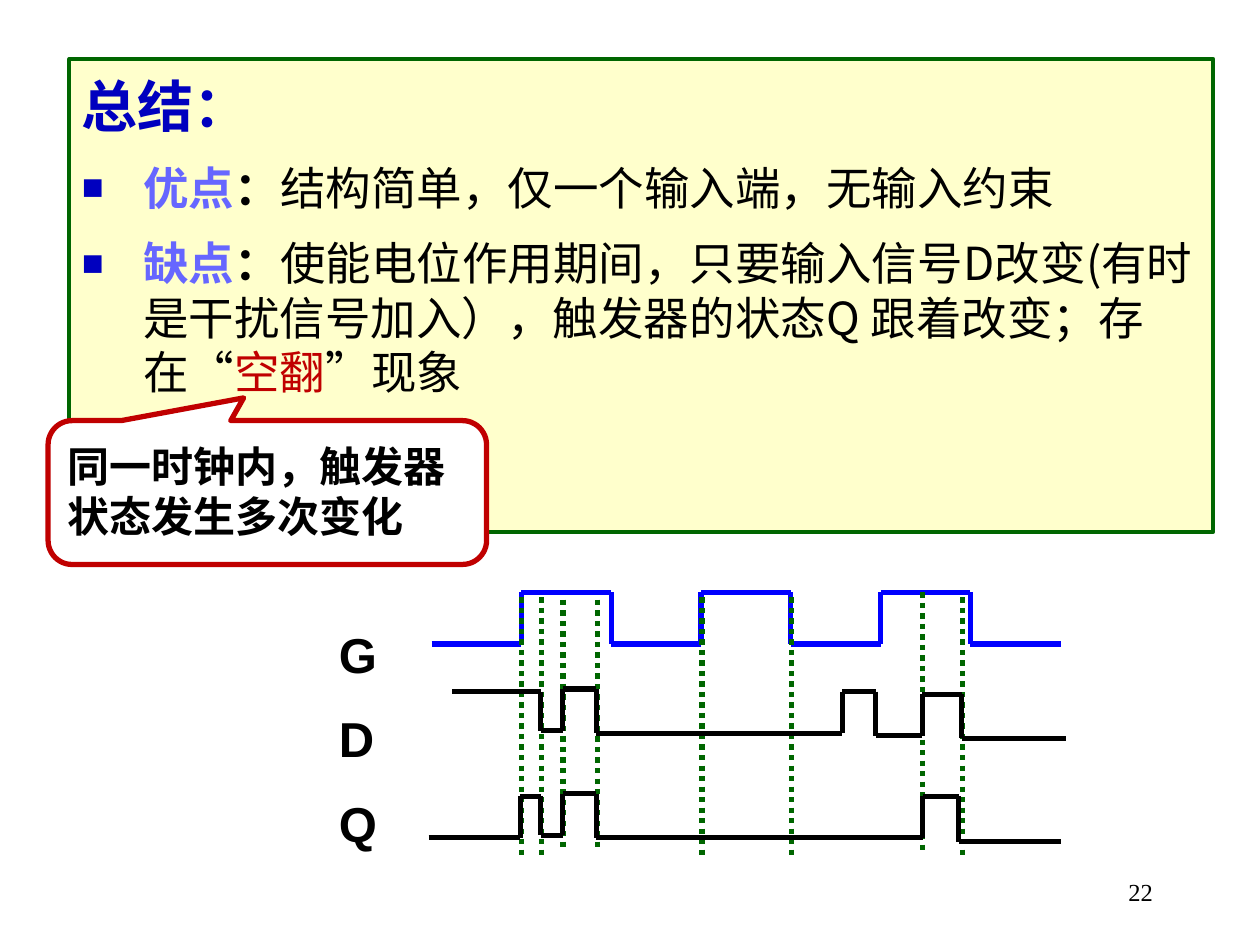
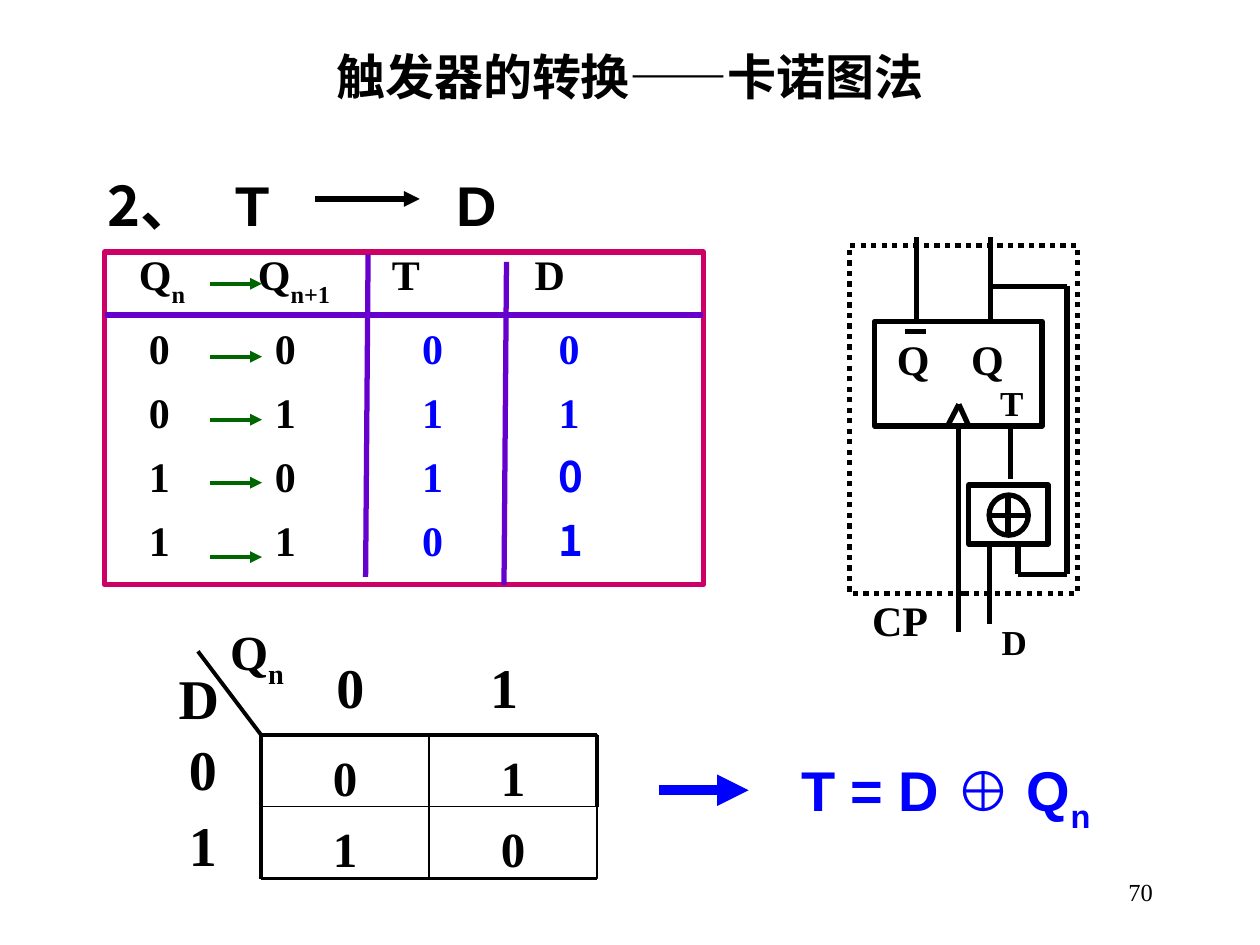
from dataclasses import dataclass, replace
from itertools import pairwise

from lxml.etree import SubElement
from pptx import Presentation
from pptx.dml.color import RGBColor
from pptx.enum.dml import MSO_LINE_DASH_STYLE as DASH
from pptx.enum.shapes import MSO_CONNECTOR, MSO_SHAPE
from pptx.enum.text import MSO_ANCHOR, PP_ALIGN
from pptx.oxml.ns import qn
from pptx.util import Cm, Pt

BLACK = RGBColor(0x00, 0x00, 0x00)
WHITE = RGBColor(0xFF, 0xFF, 0xFF)
CREAM = RGBColor(0xFF, 0xFF, 0xCC)
GREEN = RGBColor(0x00, 0x66, 0x00)
NAVY = RGBColor(0x00, 0x00, 0xBF)
BLUE = RGBColor(0x00, 0x00, 0xFF)
PERIWINKLE = RGBColor(0x66, 0x66, 0xFF)
RED = RGBColor(0xC0, 0x00, 0x00)
MAGENTA = RGBColor(0xCC, 0x00, 0x66)
PURPLE = RGBColor(0x66, 0x00, 0xCC)

ARIAL = "Arial"
TIMES = "Times New Roman"
NOTO = "Noto Sans CJK SC"


@dataclass(frozen=True)
class Style:
    size: int
    font: str = TIMES
    color: RGBColor = BLACK
    bold: bool = True
    sub: bool = False


def add_runs(p, runs):
    for text, style in runs:
        r = p.add_run()
        r.text = text
        r.font.size = Pt(style.size)
        r.font.bold = style.bold
        r.font.color.rgb = style.color
        r.font.name = style.font
        rPr = r._r.get_or_add_rPr()
        SubElement(rPr, qn("a:ea")).set("typeface", NOTO)
        if style.sub:
            rPr.set("baseline", "-30000")


def add_tabs(p, stops):
    tabs = SubElement(p._p.get_or_add_pPr(), qn("a:tabLst"))
    for stop in stops:
        tab = SubElement(tabs, qn("a:tab"))
        tab.set("pos", str(Cm(stop)))
        tab.set("algn", "l")


def add_bullet(p, color):
    pPr = p._p.get_or_add_pPr()
    pPr.set("marL", str(Cm(1.24)))
    pPr.set("indent", str(-Cm(1.24)))
    SubElement(SubElement(pPr, qn("a:buClr")), qn("a:srgbClr")).set("val", str(color))
    SubElement(pPr, qn("a:buSzPct")).set("val", "80000")
    SubElement(pPr, qn("a:buFont")).set("typeface", ARIAL)
    SubElement(pPr, qn("a:buChar")).set("char", "■")


def write(sp, paragraphs, align=PP_ALIGN.LEFT, top=0.25, anchor=MSO_ANCHOR.TOP,
          leading=None, gap=0, tabs=()):
    tf = sp.text_frame
    tf.word_wrap = True
    tf.vertical_anchor = anchor
    tf.margin_left = tf.margin_right = Cm(0.25)
    tf.margin_top, tf.margin_bottom = Cm(top), Cm(0.13)
    for i, runs in enumerate(paragraphs):
        p = tf.paragraphs[0] if i == 0 else tf.add_paragraph()
        p.alignment = align
        if leading:
            p.line_spacing = Pt(leading)
        if i:
            p.space_before = Pt(gap)
        if tabs:
            add_tabs(p, tabs[min(i, len(tabs) - 1)])
        add_runs(p, runs)
    return tf


def add_label(s, x, y, w, h, runs, **layout):
    sp = s.shapes.add_textbox(Cm(x), Cm(y), Cm(w), Cm(h))
    write(sp, [runs], **layout)


def add_box(s, x, y, w, h, color, width, fill=None, kind=MSO_SHAPE.RECTANGLE, dash=None):
    sp = s.shapes.add_shape(kind, Cm(x), Cm(y), Cm(w), Cm(h))
    sp.shadow.inherit = False
    if fill is None:
        sp.fill.background()
    else:
        sp.fill.solid()
        sp.fill.fore_color.rgb = fill
    sp.line.color.rgb = color
    sp.line.width = Pt(width)
    if dash:
        sp.line.dash_style = dash
    return sp


def add_line(s, start, end, color=BLACK, width=3, dash=None, arrow=False):
    ends = [Cm(v) for v in (*start, *end)]
    line = s.shapes.add_connector(MSO_CONNECTOR.STRAIGHT, *ends)
    line.line.color.rgb = color
    line.line.width = Pt(width)
    if dash:
        line.line.dash_style = dash
    if arrow:
        SubElement(line.line._get_or_add_ln(), qn("a:tailEnd")).set("type", "triangle")
    SubElement(line._element.spPr, qn("a:effectLst"))


def add_path(s, points, **look):
    for start, end in pairwise(points):
        add_line(s, start, end, **look)


def add_wave(s, levels, end, color=BLACK):
    points = []
    for (x, y), (next_x, _) in pairwise([*levels, (end, None)]):
        points += [(x, y), (next_x, y)]
    add_path(s, points, color=color)


def add_page_number(s, number):
    add_label(s, 18.21, 17.35, 5.28, 1.27, [(number, Style(14, bold=False))],
              align=PP_ALIGN.RIGHT, top=0.13, anchor=MSO_ANCHOR.MIDDLE)


def add_summary(s):
    body = Style(26, NOTO, bold=False)
    colon = replace(body, bold=True)
    term = replace(colon, color=PERIWINKLE)
    box = add_box(s, 1.4, 1.19, 23.06, 9.53, GREEN, 2.25, CREAM)
    tf = write(box, [
        [("总结：", Style(32, ARIAL, NAVY))],
        [("优点", term), ("：", colon), ("结构简单，仅一个输入端，无输入约束", body)],
        [("缺点", term), ("：", colon),
         ("使能电位作用期间，只要输入信号D改变(有时是干扰信号加入），"
          "触发器的状态Q 跟着改变；存在“", body),
         ("空翻", replace(body, color=RED)), ("”现象", body)],
    ], gap=12)
    for p, size in zip(tf.paragraphs, (32, 26, 26)):
        p.line_spacing = Pt(size * 1.2)
    for p in tf.paragraphs[1:]:
        add_bullet(p, NAVY)

    callout = add_box(s, 0.97, 8.48, 8.84, 2.9, RED, 3, WHITE,
                      MSO_SHAPE.ROUNDED_RECTANGULAR_CALLOUT)
    for i, value in enumerate((-0.054, -0.658, 0.167)):
        callout.adjustments[i] = value
    write(callout, [[("同一时钟内，触发器状态发生多次变化", Style(24, NOTO))]], leading=28.8)


def add_timing_diagram(s):
    for i, name in enumerate("GDQ"):
        add_label(s, 6.58, 12.34 + 1.7 * i, 2.11, 1.45, [(name, Style(28, ARIAL))])
    clock = [(8.7 + 1.81 * i, 11.94 if i % 2 else 12.98) for i in range(7)]
    add_wave(s, clock, 21.39, BLUE)
    guides = [(x, 12.04, 17.32) for x in (10.52, 10.92, 14.15, 15.95, 19.41)]
    guides += [(x, 12.09, 17.17) for x in (11.35, 12.04)]
    guides.append((18.59, 11.94, 17.22))
    for x, top, bottom in guides:
        add_line(s, (x, top), (x, bottom), GREEN, dash=DASH.ROUND_DOT)
    add_wave(s, [(8.64, 16.89), (10.49, 16.05), (10.9, 16.84), (11.34, 16),
                 (12.02, 16.89), (18.6, 16.05), (19.33, 16.97)], 21.39)
    add_wave(s, [(9.12, 13.94), (10.9, 14.73), (11.34, 13.89), (12.02, 14.78),
                 (16.98, 13.94), (17.65, 14.83), (18.59, 14), (19.39, 14.88)], 21.49)


def add_heading(s):
    bold = Style(32, ARIAL)
    add_label(s, 1.91, 3.18, 9.09, 1.6,
              [("2、", replace(bold, font=NOTO)), ("\tT\tD", bold)],
              leading=38.4, tabs=[(2.59, 7.04)])
    add_line(s, (6.35, 4.01), (8.46, 4.01), arrow=True)


def add_truth_table(s):
    state = Style(24)
    sub = replace(state, sub=True)
    value = replace(state, color=BLUE)
    rows = [[("\tQ", state), ("n", sub), ("\tQ", state), ("n+1", sub), ("\tT\tD", state)]]
    for now, after, t, d in ("0000", "0111", "1010", "1101"):
        d_style = replace(value, font=NOTO) if now == "1" else value
        rows.append([(f"\t{now}\t{after}", state), (f"\t{t}\t", value), (d, d_style)])
    box = add_box(s, 2.11, 5.08, 12.07, 6.71, MAGENTA, 3, WHITE)
    write(box, rows, top=0.34, leading=22.6, gap=14,
          tabs=[(0.44, 2.84, 5.54, 8.42), (0.64, 3.18, 6.15, 8.9)])
    for start, end in (((7.42, 5.13), (7.37, 11.63)),
                       ((2.11, 6.35), (14.18, 6.35)),
                       ((10.21, 5.28), (10.16, 11.79))):
        add_line(s, start, end, PURPLE)
    for y in (5.72, 7.19, 8.46, 9.73, 11.23):
        add_line(s, (4.24, y), (5.28, y), GREEN, 2.25, arrow=True)


def add_karnaugh_map(s):
    left, top, w, h = 5.26, 14.81, 3.39, 1.45
    right, middle, bottom = left + 2 * w, top + h, top + 2 * h
    label, cell = Style(32), Style(28)
    for row, values in enumerate(("01", "10")):
        for col, value in enumerate(values):
            box = add_box(s, left + col * w, top + row * h, w, h, BLACK, 1)
            write(box, [[(value, cell)]], align=PP_ALIGN.CENTER)
    add_path(s, [(right, middle), (right, top), (left, top), (left, bottom),
                 (right, bottom)], width=2.25)
    add_line(s, (3.99, 13.13), (left, top), width=2.25)
    add_label(s, 6.53, 12.9, 5.08, 1.6, [("0\t1", label)], tabs=[(3.1,)])
    sp = s.shapes.add_textbox(Cm(3.56), Cm(15.04), Cm(1.7), Cm(2.82))
    write(sp, [[("0", label)], [("1", label)]], leading=25, gap=18)
    add_label(s, 3.35, 13.13, 1.7, 1.6, [("D", label)])
    add_label(s, 4.39, 12.27, 1.7, 1.45, [("Q", cell), ("n", replace(cell, sub=True))])


def add_formula(s):
    style = Style(32, ARIAL, BLUE)
    add_label(s, 15.9, 14.99, 8.05, 1.6,
              [("T = D ⊕ Q", style), ("n", replace(style, sub=True))])
    add_line(s, (13.28, 15.93), (15.09, 15.93), BLUE, 6, arrow=True)


def add_circuit(s):
    pin, small = Style(24), Style(20)
    add_box(s, 17.12, 4.95, 4.6, 7.01, BLACK, 3, dash=DASH.ROUND_DOT)
    add_box(s, 17.63, 6.48, 3.38, 2.11, BLACK, 3)
    add_box(s, 19.53, 9.78, 1.6, 1.19, BLACK, 3)
    add_box(s, 19.94, 9.98, 0.79, 0.81, BLACK, 3, kind=MSO_SHAPE.OVAL)
    wires = [
        [(18.24, 6.68), (18.67, 6.68)],
        [(18.47, 6.48), (18.47, 4.78)],
        [(19.96, 6.48), (19.96, 4.78)],
        [(20.37, 9.65), (20.37, 8.59)],
        [(19.33, 8.59), (19.33, 12.75)],
        [(19.1, 8.59), (19.33, 8.15), (19.53, 8.59)],
        [(19.94, 10.97), (19.94, 12.57)],
        [(20.52, 10.97), (20.52, 11.58), (21.51, 11.58), (21.51, 5.77), (19.94, 5.77)],
        [(20.32, 9.98), (20.32, 10.77)],
        [(19.94, 10.39), (20.73, 10.39)],
    ]
    for wire in wires:
        add_path(s, wire)
    add_label(s, 17.83, 6.48, 1.47, 1.27, [("Q", pin)])
    add_label(s, 19.33, 6.48, 1.27, 1.27, [("Q", pin)])
    add_label(s, 17.33, 11.73, 2.01, 1.27, [("CP", pin)])
    add_label(s, 19.91, 7.57, 1.17, 1.09, [("T", small)], top=0.13)
    add_label(s, 19.94, 12.37, 1.02, 1.09, [("D", small)], top=0.13)


def main():
    prs = Presentation()
    prs.slide_width, prs.slide_height = Cm(25.4), Cm(19.05)
    blank = prs.slide_layouts[6]

    s = prs.slides.add_slide(blank)
    add_summary(s)
    add_timing_diagram(s)
    add_page_number(s, "22")

    s = prs.slides.add_slide(blank)
    add_label(s, 0, 0.69, 25.4, 1.45, [("触发器的转换——卡诺图法", Style(28, ARIAL))],
              align=PP_ALIGN.CENTER, leading=33.6)
    add_heading(s)
    add_truth_table(s)
    add_karnaugh_map(s)
    add_formula(s)
    add_circuit(s)
    add_page_number(s, "70")

    prs.save("out.pptx")


if __name__ == "__main__":
    main()
